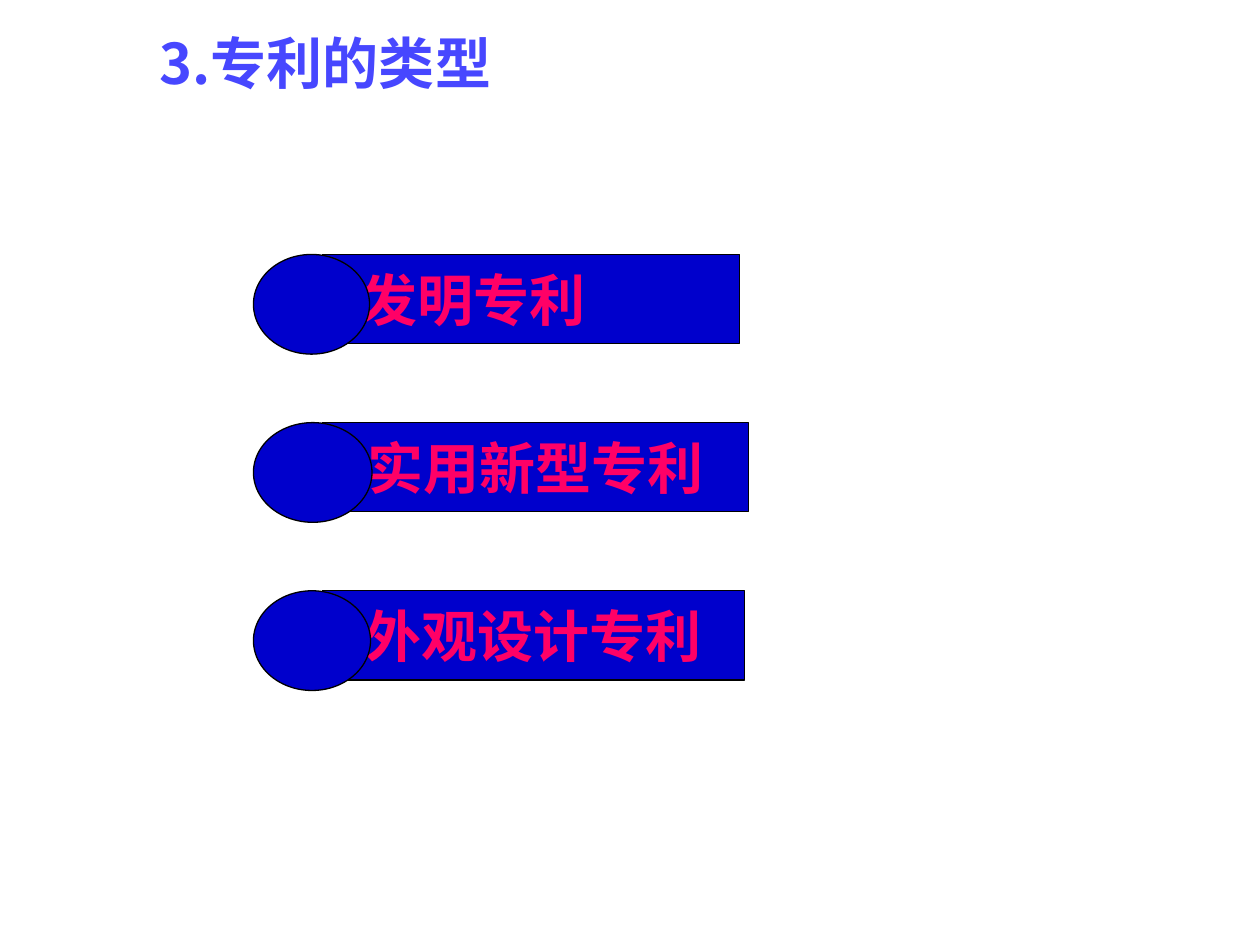
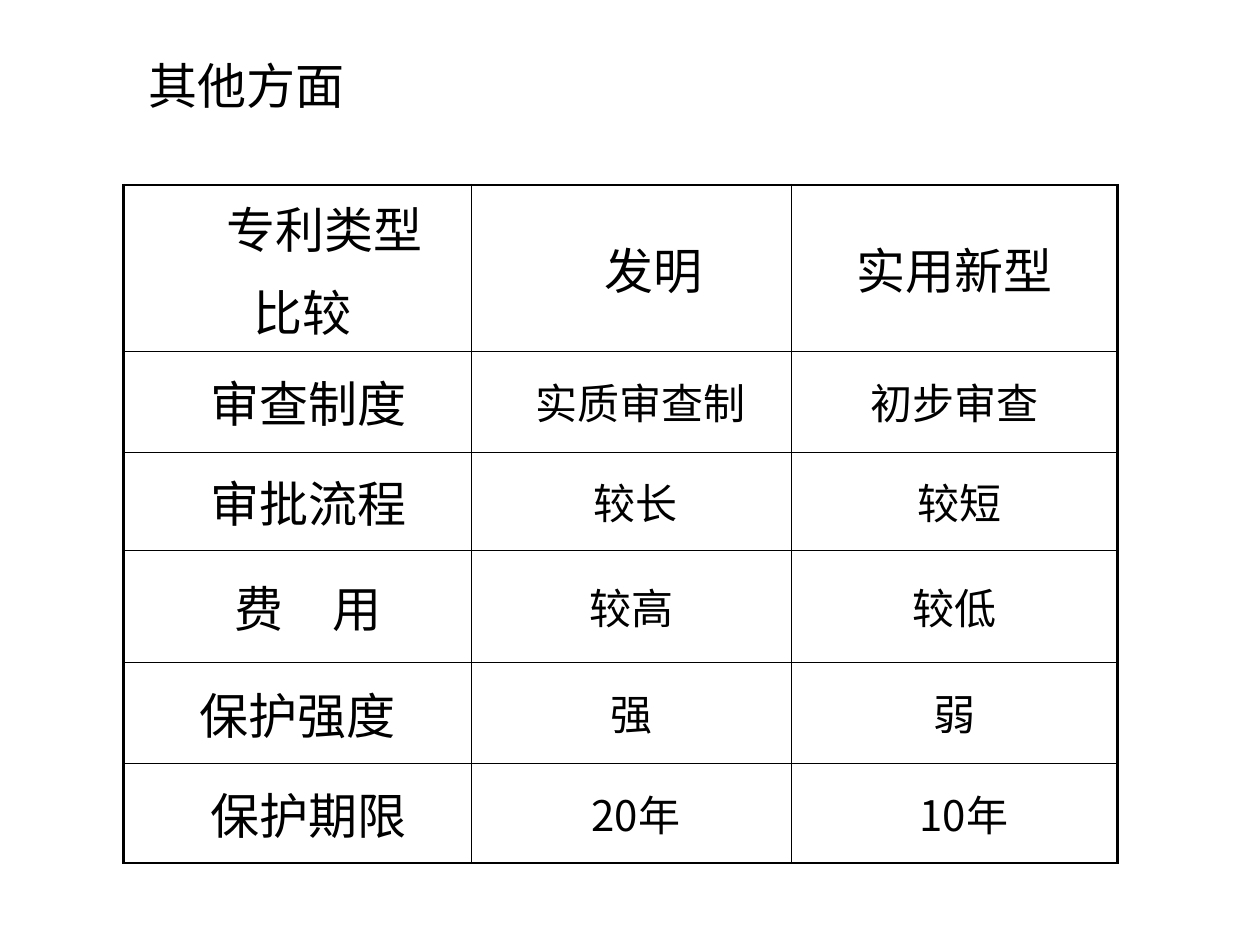
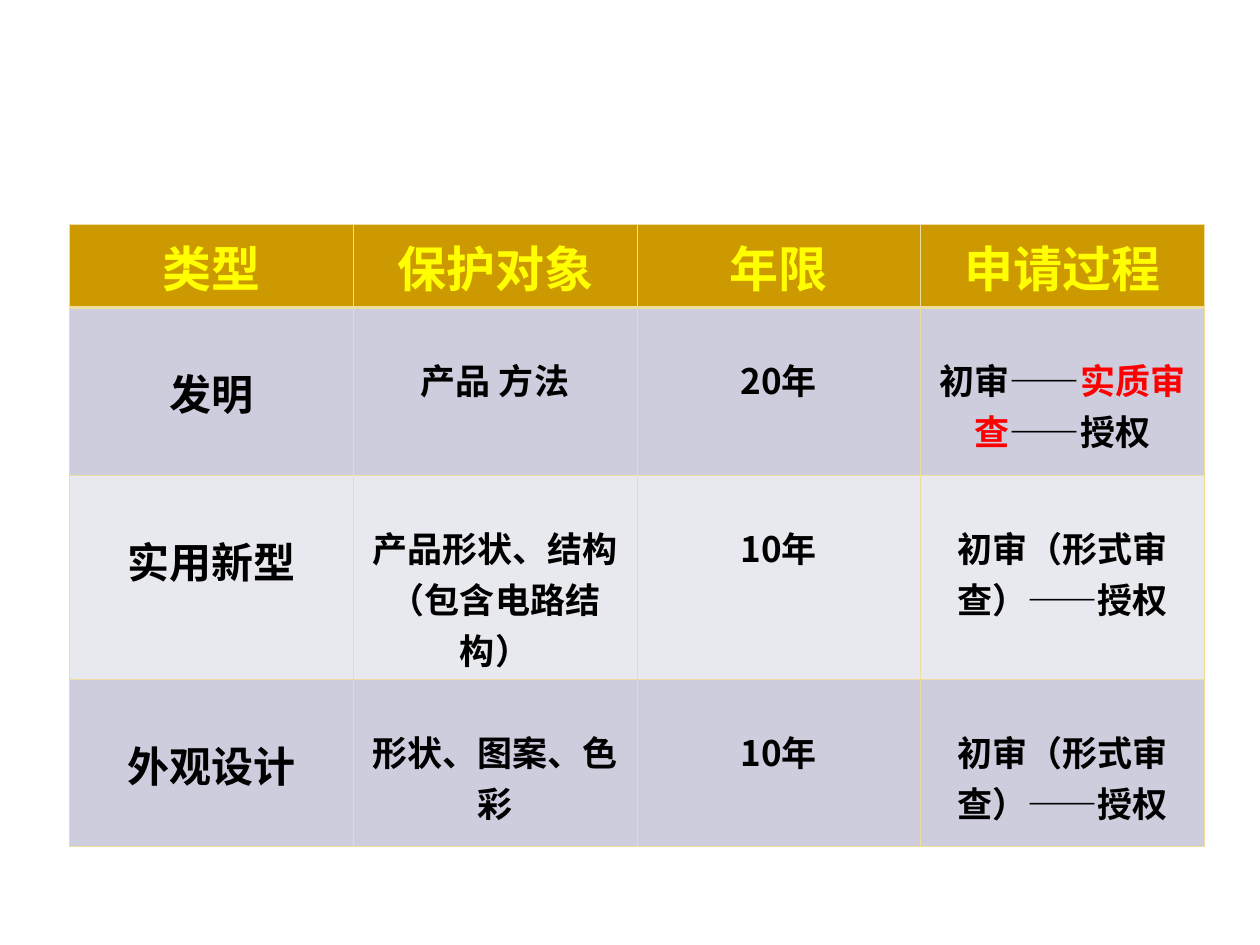
from lxml import etree
from pptx import Presentation
from pptx.dml.color import RGBColor
from pptx.enum import shapes, text
from pptx.oxml import ns
from pptx.util import Cm, Pt

BLACK = RGBColor(0x00, 0x00, 0x00)
TITLE_BLUE = RGBColor(0x47, 0x47, 0xFF)
BAR_BLUE = RGBColor(0x00, 0x00, 0xCC)
PINK = RGBColor(0xFF, 0x00, 0x66)
RED = RGBColor(0xFF, 0x00, 0x00)
YELLOW = RGBColor(0xFF, 0xFF, 0x00)
GOLD = RGBColor(0xCC, 0x99, 0x00)
PALE_GOLD = RGBColor(0xEE, 0xDD, 0x9E)
BAND_DARK = RGBColor(0xCD, 0xCD, 0xDE)
BAND_LIGHT = RGBColor(0xE8, 0xE8, 0xEF)
FONT = "Noto Sans CJK SC"
THIN, THICK = Pt(0.45), Pt(1.47)


def style(paragraph, size, color, bold=False, name=FONT, align=text.PP_ALIGN.CENTER):
    paragraph.alignment = align
    font = paragraph.font
    font.name, font.size, font.bold = name, Pt(size), bold
    font.color.rgb = color


def set_borders(cell, color, widths):
    """Draw the left, right, top and bottom borders, in that order."""
    properties = cell._tc.get_or_add_tcPr()
    for place, (side, width) in enumerate(zip("LRTB", widths)):
        line = etree.Element(ns.qn(f"a:ln{side}"), w=str(width))
        fill = etree.SubElement(line, ns.qn("a:solidFill"))
        etree.SubElement(fill, ns.qn("a:srgbClr"), val=str(color))
        properties.insert(place, line)


prs = Presentation()
prs.slide_width, prs.slide_height = Cm(25.4), Cm(19.05)
types_slide, compare_slide, summary_slide = [
    prs.slides.add_slide(prs.slide_layouts[6]) for _ in range(3)]

# Headings of the first two slides
for slide, heading, box, size, color, bold, spacing in [
    (types_slide, "3.专利的类型", (2.97, 0.84, 13.59, 3.99), 32, TITLE_BLUE, True, 0.8),
    (compare_slide, "其他方面", (2.74, 1.12, 21.59, 11.43), 28, BLACK, False, 1.0),
]:
    frame = slide.shapes.add_textbox(*map(Cm, box)).text_frame
    frame.word_wrap = True
    frame.margin_top = 0
    frame.text = heading
    frame.paragraphs[0].line_spacing = spacing
    style(frame.paragraphs[0], size, color, bold, align=text.PP_ALIGN.LEFT)

# Slide 1: a bar with a disc over its left end for each patent type
for i, (patent, bar_width, disc_width, inset, align) in enumerate([
    ("发明专利", 8.41, 2.34, 0.78, text.PP_ALIGN.LEFT),
    ("实用新型专利", 8.59, 2.39, 0.25, text.PP_ALIGN.CENTER),
    ("外观设计专利", 8.51, 2.36, 0.25, text.PP_ALIGN.CENTER),
]):
    top = Cm(5.13 + 3.39 * i)
    group = types_slide.shapes.add_group_shape()
    bar = group.shapes.add_shape(
        shapes.MSO_SHAPE.RECTANGLE, Cm(6.5), top, Cm(bar_width), Cm(1.8))
    disc = group.shapes.add_shape(
        shapes.MSO_SHAPE.OVAL, Cm(5.11), top, Cm(disc_width), Cm(2.01))
    for part in (bar, disc):
        part.shadow.inherit = False
        part.fill.solid()
        part.fill.fore_color.rgb = BAR_BLUE
        part.line.color.rgb = BLACK
        part.line.width = Pt(0.75)
    frame = bar.text_frame
    frame.margin_left = Cm(inset)
    frame.vertical_anchor = text.MSO_ANCHOR.MIDDLE
    frame.text = patent
    style(frame.paragraphs[0], 32, PINK, True, "Arial", align)

# Slide 2: comparison table, each line of text with its indent in cm
comparison = [
    [[("专利类型", 1.1), ("比较", 0.22)], [("发明", 0.88)], [("实用新型", 0)]],
    [[("审查制度", 0.44)], [("实质审查制", 0.38)], [("初步审查", 0)]],
    [[("审批流程", 0.44)], [("较长", 0.19)], [("较短", 0.19)]],
    [[("费　用", 0.44)], [("较高", 0)], [("较低", 0)]],
    [[("保护强度", 0)], [("强", 0)], [("弱", 0)]],
    [[("保护期限", 0.44)], [("20年", 0.19)], [("10年", 0.38)]],
]
column_widths = [7.01, 6.45, 6.58]
row_heights = [3.35, 2.03, 1.98, 2.26, 2.04, 2.01]
table = compare_slide.shapes.add_table(
    6, 3, Cm(2.49), Cm(3.73), Cm(sum(column_widths)), Cm(sum(row_heights))).table
table.first_row = table.horz_banding = False
for column, width in zip(table.columns, column_widths):
    column.width = Cm(width)
for r, (row, height) in enumerate(zip(comparison, row_heights)):
    table.rows[r].height = Cm(height)
    for c, lines in enumerate(row):
        cell = table.cell(r, c)
        cell.fill.background()
        cell.vertical_anchor = text.MSO_ANCHOR.MIDDLE
        cell.text = "\n".join(line for line, _ in lines)
        for i, (paragraph, (_, indent)) in enumerate(zip(cell.text_frame.paragraphs, lines)):
            paragraph._p.get_or_add_pPr().set("marL", str(Cm(indent)))
            if i:
                paragraph.space_before = Pt(7)
            style(paragraph, 28 if r == 0 or c == 0 else 24, BLACK)
        on_edge = (c == 0, c == 2, r == 0, r == 5)
        set_borders(cell, BLACK, [THICK if edge else THIN for edge in on_edge])

# Slide 3: summary table, a cell being a list of (text, colour) runs
review = [("初审（形式审查）——授权", BLACK)]
summary = [
    ["类型", "保护对象", "年限", "申请过程"],
    ["发明", "产品 方法", "20年",
     [("初审——", BLACK), ("实质审查", RED), ("——授权", BLACK)]],
    ["实用新型", "产品形状、结构（包含电路结构）", "10年", review],
    ["外观设计", "形状、图案、色彩", "10年", review],
]
row_heights = [1.68, 3.38, 4.11, 3.38]
table = summary_slide.shapes.add_table(
    4, 4, Cm(1.4), Cm(4.52), Cm(22.88), Cm(sum(row_heights))).table
for column in table.columns:
    column.width = Cm(5.72)
for r, (row, height) in enumerate(zip(summary, row_heights)):
    table.rows[r].height = Cm(height)
    for c, content in enumerate(row):
        cell = table.cell(r, c)
        cell.fill.solid()
        cell.fill.fore_color.rgb = GOLD if r == 0 else BAND_DARK if r % 2 else BAND_LIGHT
        paragraph = cell.text_frame.paragraphs[0]
        if r == 0:
            style(paragraph, 28, YELLOW, True)
        else:
            cell.margin_top = Cm(0.94 if c else 1.1)
            style(paragraph, 20 if c else 24, BLACK, True)
        if isinstance(content, str):
            paragraph.add_run().text = content
        else:
            for words, color in content:
                run = paragraph.add_run()
                run.text = words
                run.font.color.rgb = color
        set_borders(cell, PALE_GOLD, [
            THIN, THIN, THICK if r == 1 else THIN, THICK if r == 0 else THIN])

prs.save("out.pptx")
